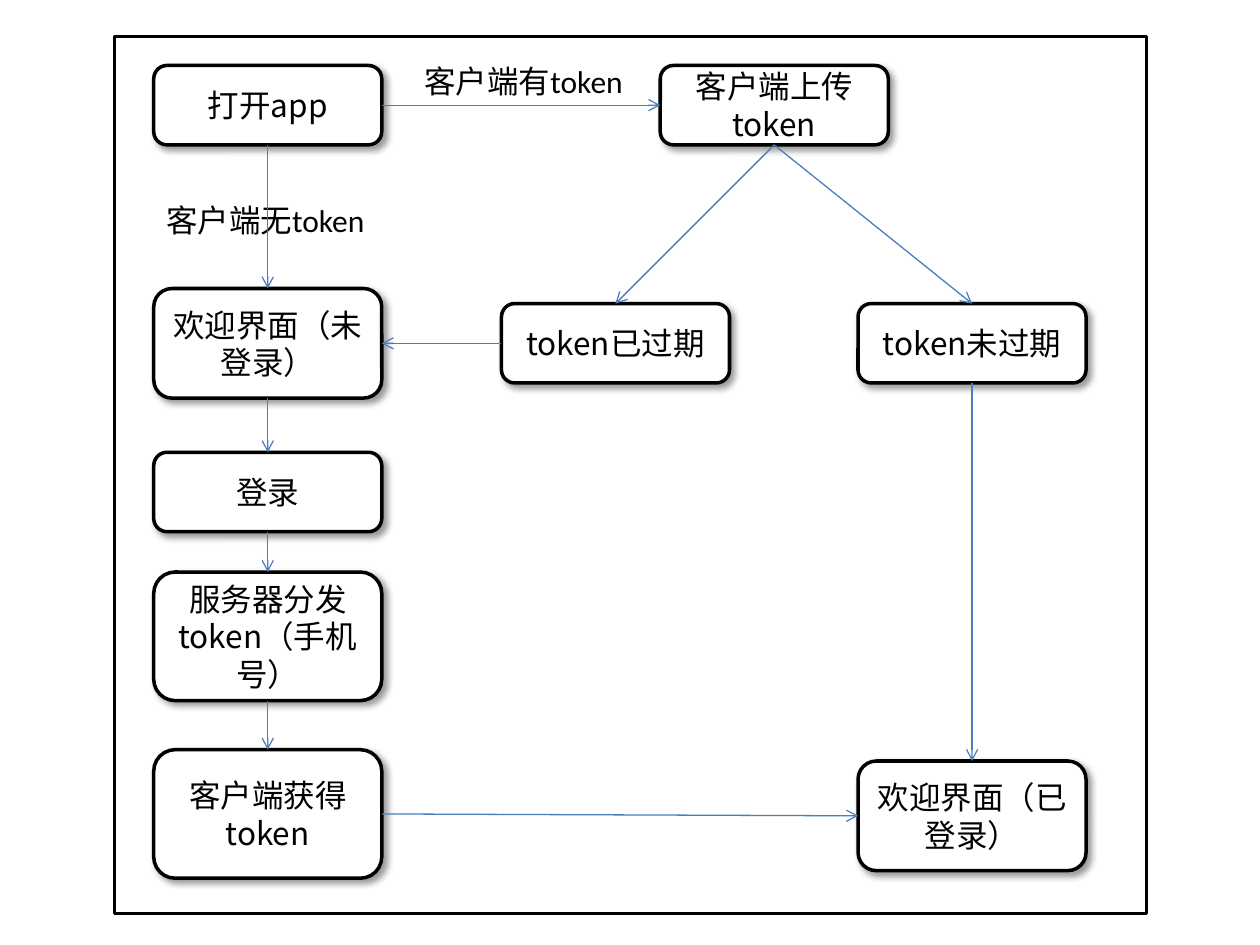
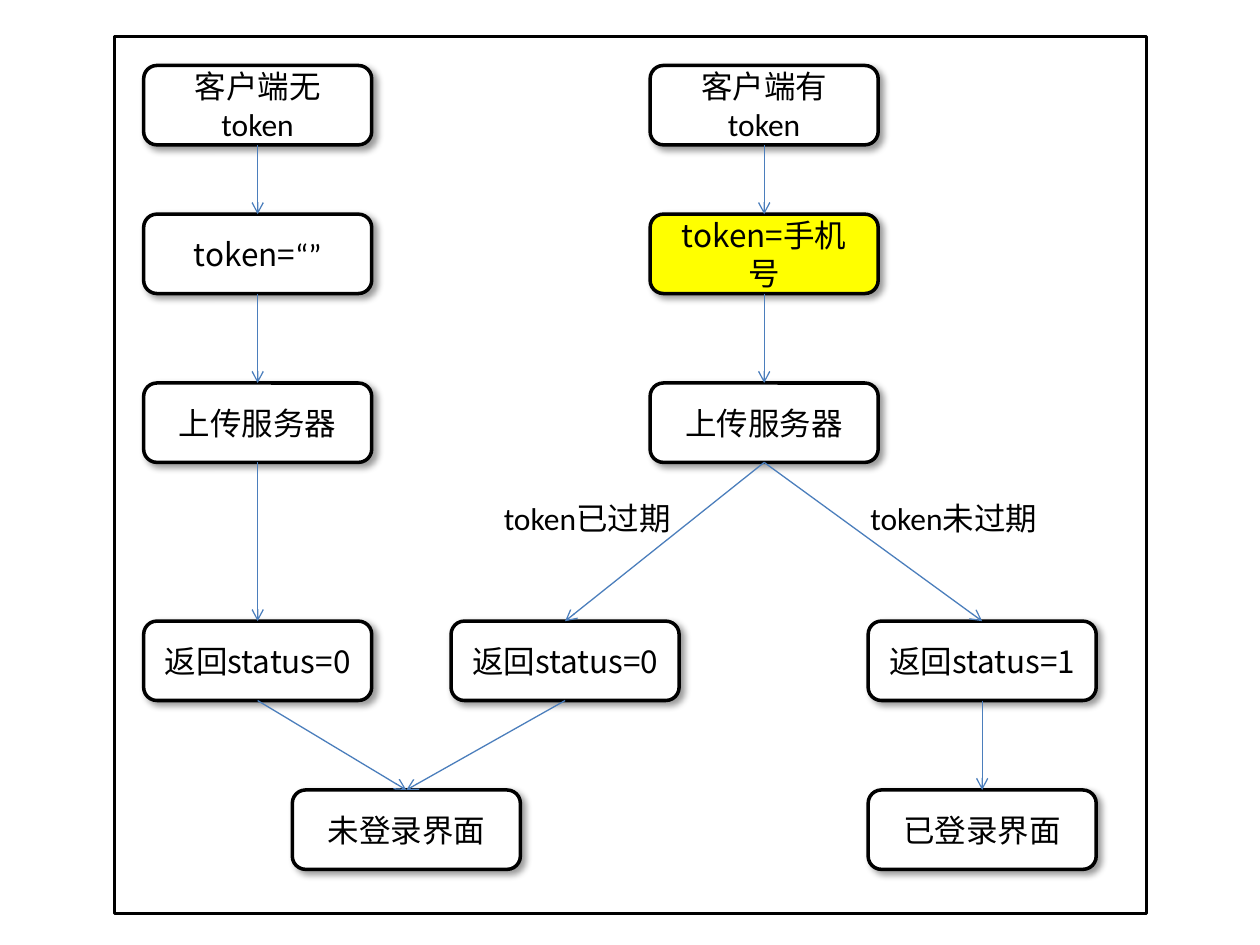
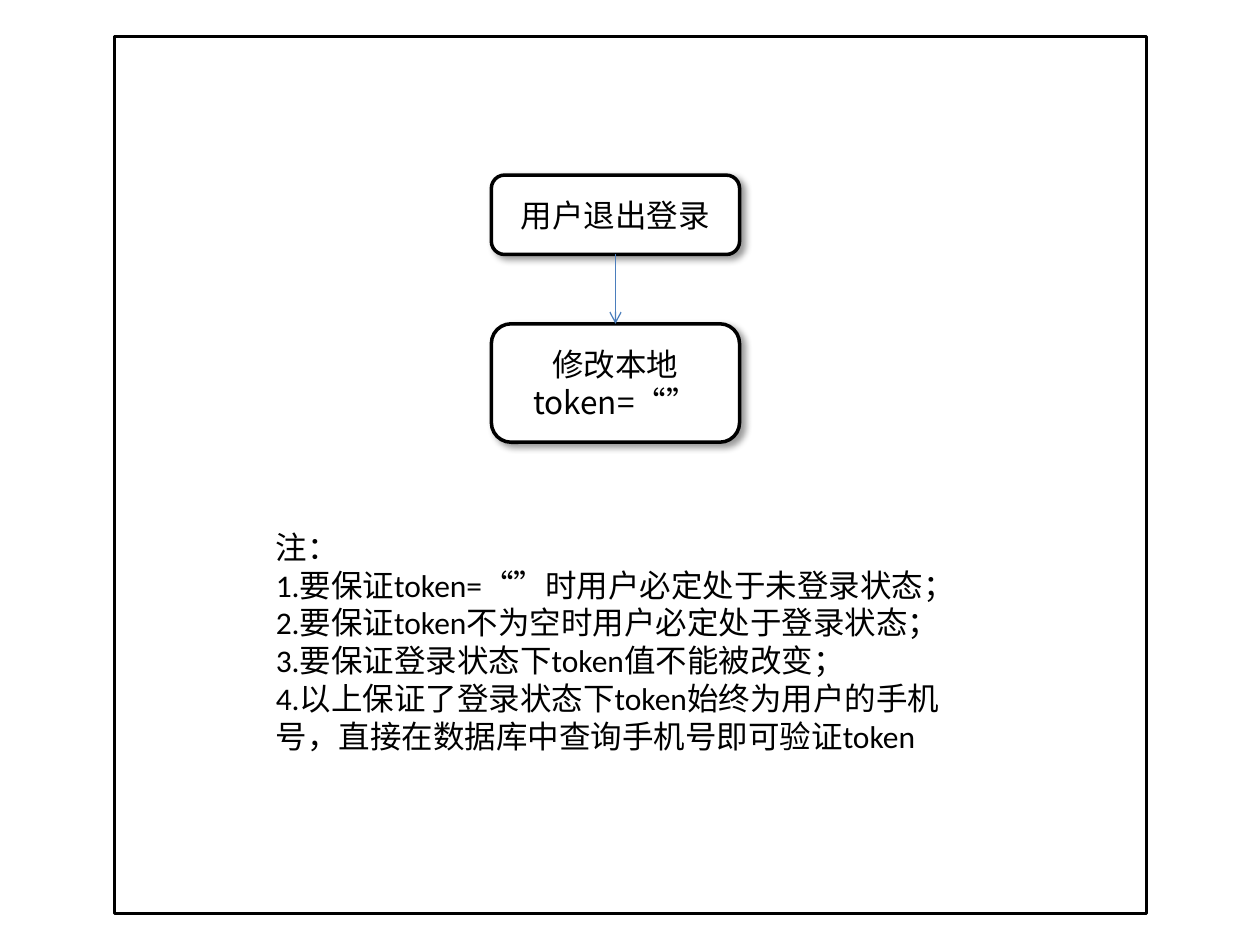
import pptx
import pptx.util
import pptx.dml.color
import pptx.enum.shapes
import pptx.enum.text
import pptx.oxml
import pptx.oxml.ns
from lxml import etree

Inches = pptx.util.Inches
Pt = pptx.util.Pt
SHAPE = pptx.enum.shapes.MSO_SHAPE
ALIGN = pptx.enum.text.PP_ALIGN
ANCHOR = pptx.enum.text.MSO_ANCHOR
qn = pptx.oxml.ns.qn

COLORS = {"ink": "000000", "paper": "FFFFFF", "mark": "FFFF00", "arrow": "4B7EBC"}
CJK, LATIN = "Noto Sans CJK SC", "Calibri"
BOX_W, BOX_H = 1.81, 0.63
TOP, LEFT, BOTTOM, RIGHT = range(4)  # connection sites of a rounded rectangle


def rgb(name):
    """Return the named colour."""
    return pptx.dml.color.RGBColor.from_string(COLORS[name])


def write(tf, paragraphs, font=CJK, size=18, color="ink", align=ALIGN.LEFT,
          anchor=ANCHOR.TOP):
    """Fill a text frame; a paragraph is a string or a list of (text, font)."""
    tf.word_wrap = True
    tf.vertical_anchor = anchor
    for i, runs in enumerate(paragraphs):
        p = tf.paragraphs[0] if i == 0 else tf.add_paragraph()
        p.alignment = align
        for text, face in [(runs, font)] if isinstance(runs, str) else runs:
            r = p.add_run()
            r.text = text
            r.font.size = Pt(size)
            r.font.color.rgb = rgb(color)
            r.font.name = face
            ea = etree.SubElement(r.font._element, qn("a:ea"))
            ea.set("typeface", CJK)


def add_outlined(slide, kind, x, y, w, h, fill=None):
    """Add a black-outlined shape without a shadow."""
    sp = slide.shapes.add_shape(kind, Inches(x), Inches(y), Inches(w), Inches(h))
    sp.shadow.inherit = False
    sp.line.color.rgb = rgb("ink")
    sp.line.width = Pt(2)
    if fill:
        sp.fill.solid()
        sp.fill.fore_color.rgb = rgb(fill)
    else:
        sp.fill.background()
    return sp


def add_shadow(sp):
    """Give a shape a soft shadow to the lower right."""
    effects = sp._element.spPr.find(qn("a:effectLst"))
    shadow = etree.SubElement(effects, qn("a:outerShdw"), blurRad=str(Pt(4)),
                              dist=str(Pt(3)), dir="2700000", algn="tl",
                              rotWithShape="0")
    tint = etree.SubElement(shadow, qn("a:srgbClr"), val=COLORS["ink"])
    etree.SubElement(tint, qn("a:alpha"), val="40000")


def add_box(slide, x, y, text, w=BOX_W, h=BOX_H, fill="paper", font=CJK):
    """Add a rounded step of the flow."""
    sp = add_outlined(slide, SHAPE.ROUNDED_RECTANGLE, x, y, w, h, fill)
    add_shadow(sp)
    write(sp.text_frame, [text], font=font, align=ALIGN.CENTER,
          anchor=ANCHOR.MIDDLE)
    return sp


def add_label(slide, x, y, w, paragraphs, h=0.4):
    """Add plain text that grows with its content."""
    sp = slide.shapes.add_textbox(Inches(x), Inches(y), Inches(w), Inches(h))
    write(sp.text_frame, paragraphs, font=LATIN)
    sp.text_frame.auto_size = pptx.enum.text.MSO_AUTO_SIZE.SHAPE_TO_FIT_TEXT


def add_arrow(slide, start, end, start_site=BOTTOM, end_site=TOP):
    """Join two steps with an arrow glued to their connection sites."""
    line = slide.shapes.add_connector(
        pptx.enum.shapes.MSO_CONNECTOR.STRAIGHT, 0, 0, 0, 0)
    line.begin_connect(start, start_site)
    line.end_connect(end, end_site)
    line.line.color.rgb = rgb("arrow")
    line.line.width = Pt(0.75)
    etree.SubElement(line.line._get_or_add_ln(), qn("a:tailEnd"), type="arrow")
    etree.SubElement(line._element.spPr, qn("a:effectLst"))


def add_chain(slide, steps):
    """Join each step to the one below it."""
    for start, end in zip(steps, steps[1:]):
        add_arrow(slide, start, end)


def add_framed_slide(prs):
    """Add a blank slide with the common frame."""
    slide = prs.slides.add_slide(prs.slide_layouts[6])
    add_outlined(slide, SHAPE.RECTANGLE, 0.91, 0.29, 8.19, 6.96)
    return slide


def build_login(prs):
    """Login flow, from opening the app to the welcome screen."""
    slide = add_framed_slide(prs)
    main_x, right_x = 1.22, 6.81
    opened = add_box(slide, main_x, 0.52, "打开app")
    welcome_out = add_box(slide, main_x, 2.29, "欢迎界面（未登录）", h=0.87)
    login = add_box(slide, main_x, 3.59, "登录")
    issued = add_box(slide, main_x, 4.54, "服务器分发token（手机号）", h=1.02)
    received = add_box(slide, main_x, 5.95, "客户端获得token", h=1.02)
    upload = add_box(slide, 5.24, 0.52, "客户端上传token")
    expired = add_box(slide, 3.98, 2.41, "token已过期")
    valid = add_box(slide, right_x, 2.41, "token未过期")
    welcome_in = add_box(slide, right_x, 6.04, "欢迎界面（已登录）", h=0.87)

    add_label(slide, main_x, 1.55, 1.79, ["客户端无token"])
    add_label(slide, 3.27, 0.44, 1.79, ["客户端有token"])

    add_chain(slide, [opened, welcome_out, login, issued, received])
    add_chain(slide, [upload, valid, welcome_in])
    add_arrow(slide, upload, expired)
    add_arrow(slide, opened, upload, RIGHT, LEFT)
    add_arrow(slide, expired, welcome_out, LEFT, RIGHT)
    add_arrow(slide, received, welcome_in, RIGHT, LEFT)


def build_status(prs):
    """Server status with and without a token."""
    slide = add_framed_slide(prs)
    none_x, has_x, valid_x = 1.14, 5.16, 6.89
    start_y, token_y, upload_y, status_y, screen_y = 0.52, 1.7, 3.04, 4.93, 6.27
    no_token = [
        add_box(slide, none_x, start_y, "客户端无token", font=LATIN),
        add_box(slide, none_x, token_y, [("token=", CJK), ("“”", LATIN)]),
        add_box(slide, none_x, upload_y, "上传服务器"),
        add_box(slide, none_x, status_y, "返回status=0"),
        add_box(slide, 2.32, screen_y, "未登录界面"),
    ]
    has_token = [
        add_box(slide, has_x, start_y, "客户端有token", font=LATIN),
        add_box(slide, has_x, token_y, "token=手机号", fill="mark"),
        add_box(slide, has_x, upload_y, "上传服务器"),
    ]
    expired = add_box(slide, 3.58, status_y, "返回status=0")
    valid = add_box(slide, valid_x, status_y, "返回status=1")
    logged_in = add_box(slide, valid_x, screen_y, "已登录界面")

    add_chain(slide, no_token)
    add_chain(slide, has_token + [valid, logged_in])
    add_chain(slide, [has_token[-1], expired, no_token[-1]])

    add_label(slide, 3.9, 3.91, 1.54, ["token已过期"])
    add_label(slide, 6.81, 3.91, 1.54, ["token未过期"])


def build_logout(prs):
    """Logout flow and its notes."""
    slide = add_framed_slide(prs)
    logout = add_box(slide, 3.9, 1.39, "用户退出登录", w=1.97)
    clear = add_box(slide, 3.9, 2.57, [("修改本地token=", CJK), ("“”", LATIN)],
                    w=1.97, h=0.94)
    add_arrow(slide, logout, clear)
    add_label(slide, 2.09, 4.14, 5.51, [
        "注：",
        "1.要保证token=“”时用户必定处于未登录状态；",
        "2.要保证token不为空时用户必定处于登录状态；",
        "3.要保证登录状态下token值不能被改变；",
        "4.以上保证了登录状态下token始终为用户的手机号，"
        "直接在数据库中查询手机号即可验证token",
    ], h=1.92)


def main():
    """Build and save the deck."""
    prs = pptx.Presentation()
    prs.slide_width, prs.slide_height = Inches(10), Inches(7.5)
    build_login(prs)
    build_status(prs)
    build_logout(prs)
    prs.save("out.pptx")


main()
